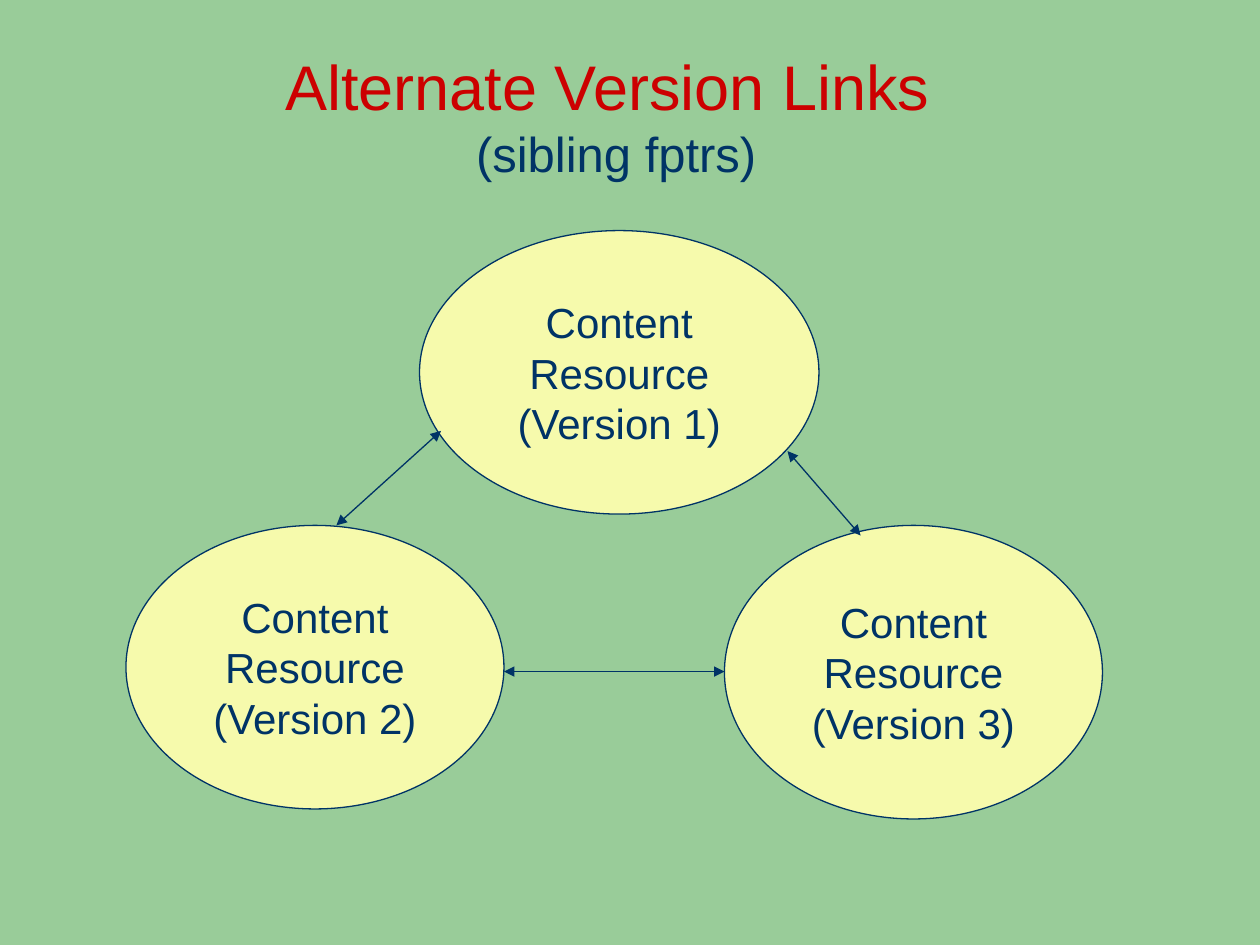
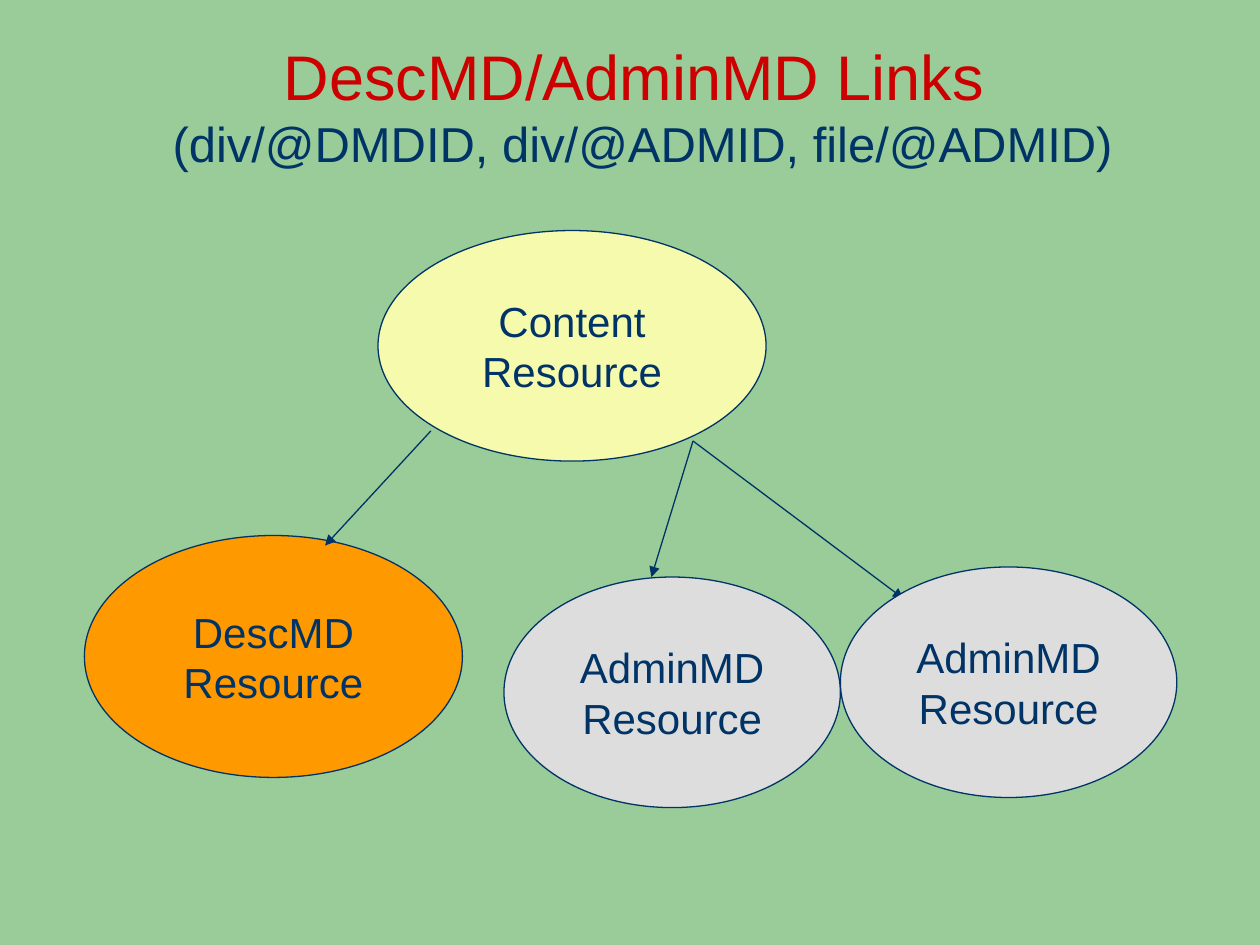
from lxml import etree
from pptx import Presentation
from pptx import util as u
from pptx.dml.color import RGBColor
from pptx.enum import shapes, text
from pptx.oxml.ns import qn

BACKGROUND = "99CC99"
RED = "CC0000"
NAVY = "003366"
YELLOW = "F6FAAC"
ORANGE = "FF9900"
GREY = "DDDDDD"

FONT = "Arial"
LINE_WIDTH = u.Pt(0.75)
FRAME_FORMAT = {
    "word_wrap": False,
    "margin_left": u.Inches(0.1),
    "margin_right": u.Inches(0.1),
    "margin_top": u.Inches(0.05),
    "margin_bottom": u.Inches(0.05),
}


def color(hex_string):
    return RGBColor.from_string(hex_string)


def inches(*lengths):
    return [u.Inches(length) for length in lengths]


def set_attributes(target, values):
    for name, value in values.items():
        setattr(target, name, value)


def write_lines(frame, lines, **frame_format):
    """Write (text, size, colour) lines as centred paragraphs."""
    set_attributes(frame, {**FRAME_FORMAT, **frame_format})
    for index, (words, size, hex_string) in enumerate(lines):
        paragraph = frame.add_paragraph() if index else frame.paragraphs[0]
        paragraph.alignment = text.PP_ALIGN.CENTER
        run = paragraph.add_run()
        run.text = words
        set_attributes(run.font, {"name": FONT, "size": u.Pt(size)})
        run.font.color.rgb = color(hex_string)


def set_outline(shape):
    shape.line.width = LINE_WIDTH
    shape.line.color.rgb = color(NAVY)


def add_title(slide, box, title, subtitle):
    frame = slide.shapes.add_textbox(*inches(*box)).text_frame
    # The space after the title counts in its centring.
    write_lines(frame, [(title + " ", 36, RED), (subtitle, 28, NAVY)],
                auto_size=text.MSO_AUTO_SIZE.SHAPE_TO_FIT_TEXT)


def add_resource(slide, origin, box, fill, *lines):
    """Add an ellipse whose box is measured from the diagram's origin."""
    left, top, width, height = box
    ellipse = slide.shapes.add_shape(
        shapes.MSO_SHAPE.OVAL,
        *inches(origin[0] + left, origin[1] + top, width, height))
    ellipse.shadow.inherit = False
    ellipse.fill.solid()
    ellipse.fill.fore_color.rgb = color(fill)
    set_outline(ellipse)
    write_lines(ellipse.text_frame, [(line, 24, NAVY) for line in lines],
                vertical_anchor=text.MSO_ANCHOR.MIDDLE)


def add_link(slide, origin, start, end, both_ways=False):
    """Add an arrow between two points measured from the diagram's origin."""
    points = [origin[axis] + point[axis] for point in (start, end) for axis in (0, 1)]
    link = slide.shapes.add_connector(shapes.MSO_CONNECTOR.STRAIGHT, *inches(*points))
    set_outline(link)
    line = link.line._get_or_add_ln()
    for tag in ("a:headEnd", "a:tailEnd") if both_ways else ("a:tailEnd",):
        etree.SubElement(line, qn(tag), type="triangle")
    etree.SubElement(link._element.spPr, qn("a:effectLst"))


def add_version_diagram(slide, origin):
    boxes = {1: (2.33, 0, 3.17, 2.25), 3: (4.75, 2.34, 3, 2.33), 2: (0, 2.34, 3, 2.25)}
    for version, box in boxes.items():
        add_resource(slide, origin, box, YELLOW,
                     "Content", "Resource", f"(Version {version})")
    for start, end in [((2.5, 1.59), (1.67, 2.34)),
                       ((5.25, 1.75), (5.83, 2.42)),
                       ((4.75, 3.5), (3, 3.5))]:
        add_link(slide, origin, start, end, both_ways=True)


def add_metadata_diagram(slide, origin):
    admin_left, admin_width, admin_height = 3.33, 2.67, 1.83
    content_exit = (4.83, 1.67)
    add_resource(slide, origin, (2.33, 0, 3.08, 1.83), YELLOW, "Content", "Resource")
    add_resource(slide, origin, (0, 2.42, 3, 1.92), ORANGE, "DescMD", "Resource")
    add_link(slide, origin, (2.75, 1.59), (1.91, 2.5))
    # The right ellipse covers the tip of its arrow, so arrows come first.
    for column, (top, tip) in enumerate([(2.75, (4.5, 2.75)), (2.67, (6.5, 2.92))]):
        add_link(slide, origin, content_exit, tip)
        add_resource(slide, origin,
                     (admin_left + column * admin_width, top, admin_width, admin_height),
                     GREY, "AdminMD", "Resource")


def add_slide(presentation, title_box, title, subtitle, add_diagram, origin):
    slide = presentation.slides.add_slide(presentation.slide_layouts[6])
    slide.background.fill.solid()
    slide.background.fill.fore_color.rgb = color(BACKGROUND)
    add_title(slide, title_box, title, subtitle)
    add_diagram(slide, origin)


def main():
    presentation = Presentation()
    presentation.slide_width, presentation.slide_height = inches(10, 7.5)
    add_slide(presentation, (2.15, 0.33, 5.48, 1.17),
              "Alternate Version Links", "(sibling fptrs)",
              add_version_diagram, (1, 1.83))
    add_slide(presentation, (1.27, 0.25, 7.66, 1.17),
              "DescMD/AdminMD Links", "(div/@DMDID, div/@ADMID, file/@ADMID)",
              add_metadata_diagram, (0.67, 1.83))
    presentation.save("out.pptx")


if __name__ == "__main__":
    main()
